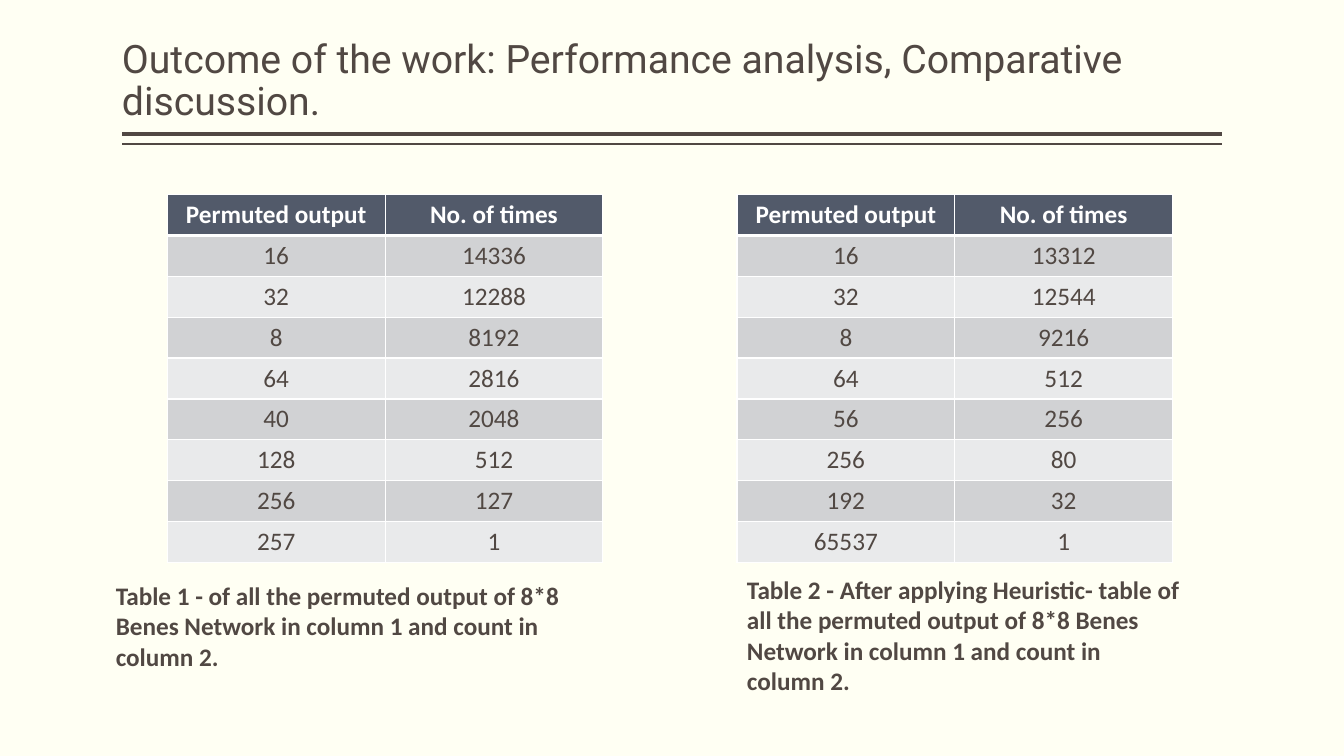
from lxml.etree import SubElement as Sub
from pptx import Presentation
from pptx.dml.color import RGBColor as Rgb
from pptx.enum.shapes import MSO_CONNECTOR as Conn
from pptx.enum.text import MSO_ANCHOR as Anchor, PP_ALIGN as Align
from pptx.oxml.ns import qn
from pptx.util import Inches, Pt

HUES = {"page": "FFFFF3", "ink": "514843", "head": "525A6A",
        "dark": "D1D2D4", "light": "E9EAEB", "white": "FFFFFF"}
TITLE = "Outcome of the work: Performance analysis, Comparative discussion."
HEAD = ("Permuted output", "No. of times")
PANELS = [
    {"left": 1.66, "box": (1.05, 5.71, 4.98, 1.01),
     "note": "Table 1 - of all the permuted output of 8*8 Benes Network "
             "in column 1 and count in column 2.",
     "rows": [(16, 14336), (32, 12288), (8, 8192), (64, 2816),
              (40, 2048), (128, 512), (256, 127), (257, 1)]},
    {"left": 7.31, "box": (7.31, 5.65, 4.51, 1.31),
     "note": "Table 2 - After applying Heuristic- table of all the permuted "
             "output of 8*8 Benes Network in column 1 and count in column 2.",
     "rows": [(16, 13312), (32, 12544), (8, 9216), (64, 512),
              (56, 256), (256, 80), (192, 32), (65537, 1)]},
]
WIDE, HIGH = 13.33, 7.5
EDGE = 1.21
TOP, COL, TALL = 1.93, 2.16, 3.65
RULES = [(1.33, 3), (1.43, 1)]
BODY = {"name": "Calibri", "size": Pt(18)}
BOLD = BODY | {"bold": True}
LARGE = {"name": "Roboto", "size": Pt(28)}


def tint(key):
    return Rgb.from_string(HUES[key])


def style(par, form, hue):
    font = par.runs[0].font
    for key, val in form.items():
        setattr(font, key, val)
    font.color.rgb = tint(hue)


def write(slide, box, text, form):
    frame = slide.shapes.add_textbox(*map(Inches, box)).text_frame
    frame.word_wrap = True
    frame.text = text
    style(frame.paragraphs[0], form, "ink")
    return frame


def border(cell, row):
    props = cell._tc.get_or_add_tcPr()
    sides = {"L": 1, "R": 1, "T": 3 if row == 1 else 1,
             "B": 3 if row == 0 else 1}
    for side, width in sides.items():
        line = Sub(props, qn(f"a:ln{side}"), w=str(Pt(width)))
        fill = Sub(line, qn("a:solidFill"))
        Sub(fill, qn("a:srgbClr"), val=HUES["white"])


def grid(slide, left, rows):
    data = [HEAD, *rows]
    place = (left, TOP, COL * len(HEAD), TALL)
    table = slide.shapes.add_table(
        len(data), len(HEAD), *map(Inches, place)).table
    for r, row in enumerate(data):
        table.rows[r].height = Inches(TALL / len(data))
        back = "head" if r == 0 else "dark" if r % 2 else "light"
        for c, val in enumerate(row):
            cell = table.cell(r, c)
            cell.text = str(val)
            par = cell.text_frame.paragraphs[0]
            par.alignment = Align.CENTER
            style(par, BODY | {"bold": r == 0}, "ink" if r else "white")
            border(cell, r)
            cell.fill.solid()
            cell.fill.fore_color.rgb = tint(back)


def rule(slide, y, width):
    ends = (WIDE - EDGE, y, EDGE, y)
    line = slide.shapes.add_connector(Conn.STRAIGHT, *map(Inches, ends))
    line.line.color.rgb = tint("ink")
    line.line.width = Pt(width)
    Sub(line._element.spPr, qn("a:effectLst"))


def main():
    deck = Presentation()
    deck.slide_width, deck.slide_height = Inches(WIDE), Inches(HIGH)
    slide = deck.slides.add_slide(deck.slide_layouts[6])
    slide.background.fill.solid()
    slide.background.fill.fore_color.rgb = tint("page")
    for y, width in RULES:
        rule(slide, y, width)
    frame = write(slide, (EDGE, 0.08, WIDE - 2 * EDGE, 1.2), TITLE, LARGE)
    frame.vertical_anchor = Anchor.BOTTOM
    frame.margin_left = frame.margin_right = 0
    frame.paragraphs[0].line_spacing = 0.9
    for panel in PANELS:
        write(slide, panel["box"], panel["note"], BOLD)
        grid(slide, panel["left"], panel["rows"])
    deck.save("out.pptx")


if __name__ == "__main__":
    main()
